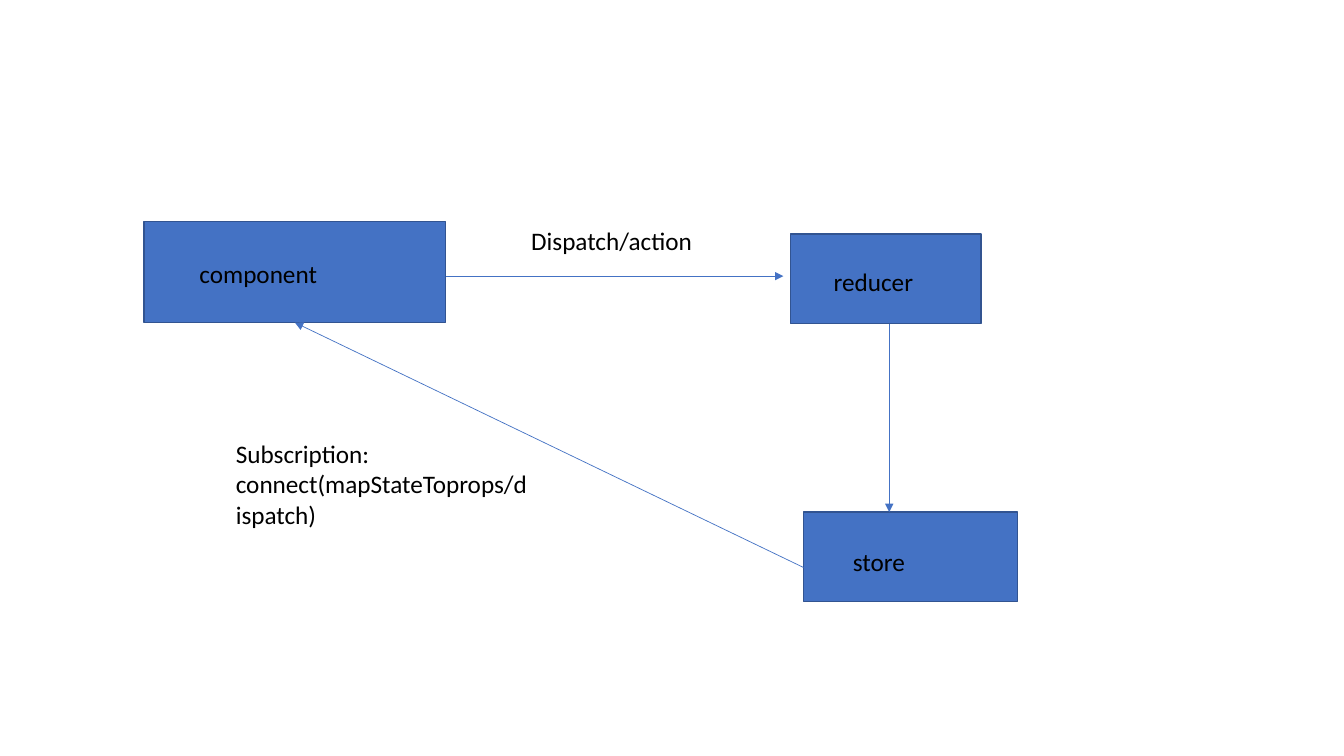
from pptx import Presentation
from pptx.dml.color import RGBColor
from pptx.enum.shapes import MSO_CONNECTOR, MSO_SHAPE
from pptx.enum.text import MSO_AUTO_SIZE
from pptx.oxml.ns import qn
from pptx.util import Inches, Pt
from lxml.etree import SubElement

BLUE = RGBColor(0x44, 0x72, 0xC4)
DARK_BLUE = RGBColor(0x32, 0x54, 0x91)
BLACK = RGBColor(0, 0, 0)

prs = Presentation()
prs.slide_width, prs.slide_height = Inches(13.33), Inches(7.5)
slide = prs.slides.add_slide(prs.slide_layouts[6])

# Boxes of the data flow: left, top, width, height
boxes = {}
for stage, place in {
    "component": (1.43, 2.2, 2.99, 1),
    "reducer": (7.84, 2.32, 1.89, 0.89),
    "store": (7.97, 5.08, 2.12, 0.89),
}.items():
    box = slide.shapes.add_shape(MSO_SHAPE.RECTANGLE, *map(Inches, place))
    box.shadow.inherit = False
    box.fill.solid()
    box.fill.fore_color.rgb = BLUE
    box.line.color.rgb = DARK_BLUE
    box.line.width = Pt(1)
    boxes[stage] = box

# Arrows: from x, y to x, y
arrows = {}
for step, ends in {
    "dispatch": (4.42, 2.74, 7.77, 2.74),
    "update": (8.82, 3.21, 8.82, 5.08),
    "subscription": (7.97, 5.63, 2.92, 3.2),
}.items():
    arrow = slide.shapes.add_connector(MSO_CONNECTOR.STRAIGHT, *map(Inches, ends))
    arrow.line.color.rgb = BLUE
    arrow.line.width = Pt(0.5)
    SubElement(arrow.line._get_or_add_ln(), qn("a:tailEnd"), type="triangle")
    SubElement(arrow._element.spPr, qn("a:effectLst"))
    arrows[step] = arrow
arrows["subscription"].end_connect(boxes["component"], 2)

# Labels: left, top, width, height
for wording, place in {
    "component": (1.88, 2.51, 2.14, 0.4),
    "reducer": (8.17, 2.59, 1.45, 0.4),
    "store": (8.36, 5.37, 1.25, 0.4),
    "Subscription: connect(mapStateToprops/dispatch)": (2.24, 4.3, 3.12, 1.01),
    "Dispatch/action": (5.17, 2.19, 2, 0.4),
}.items():
    label = slide.shapes.add_textbox(*map(Inches, place)).text_frame
    label.word_wrap = True
    label.auto_size = MSO_AUTO_SIZE.SHAPE_TO_FIT_TEXT
    label.text = wording
    font = label.paragraphs[0].runs[0].font
    font.name = "Calibri"
    font.size = Pt(18)
    font.color.rgb = BLACK

prs.save("out.pptx")
